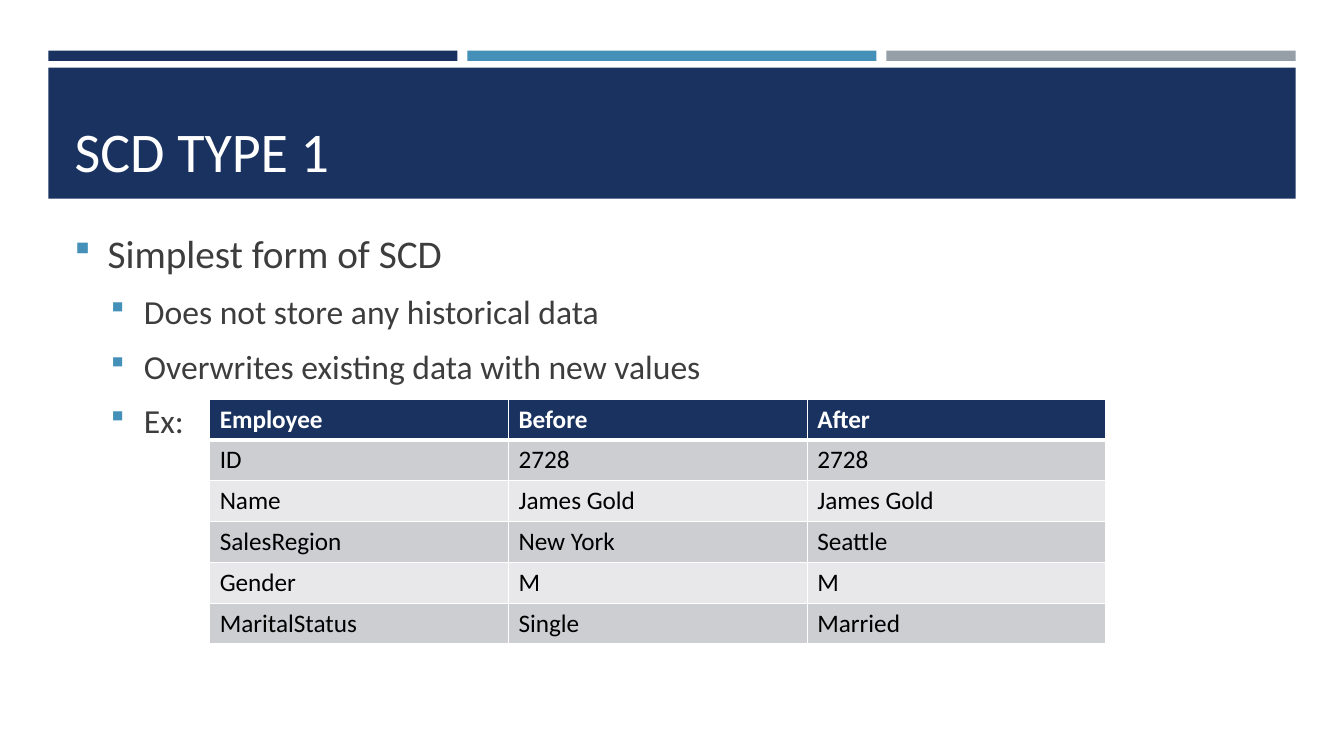
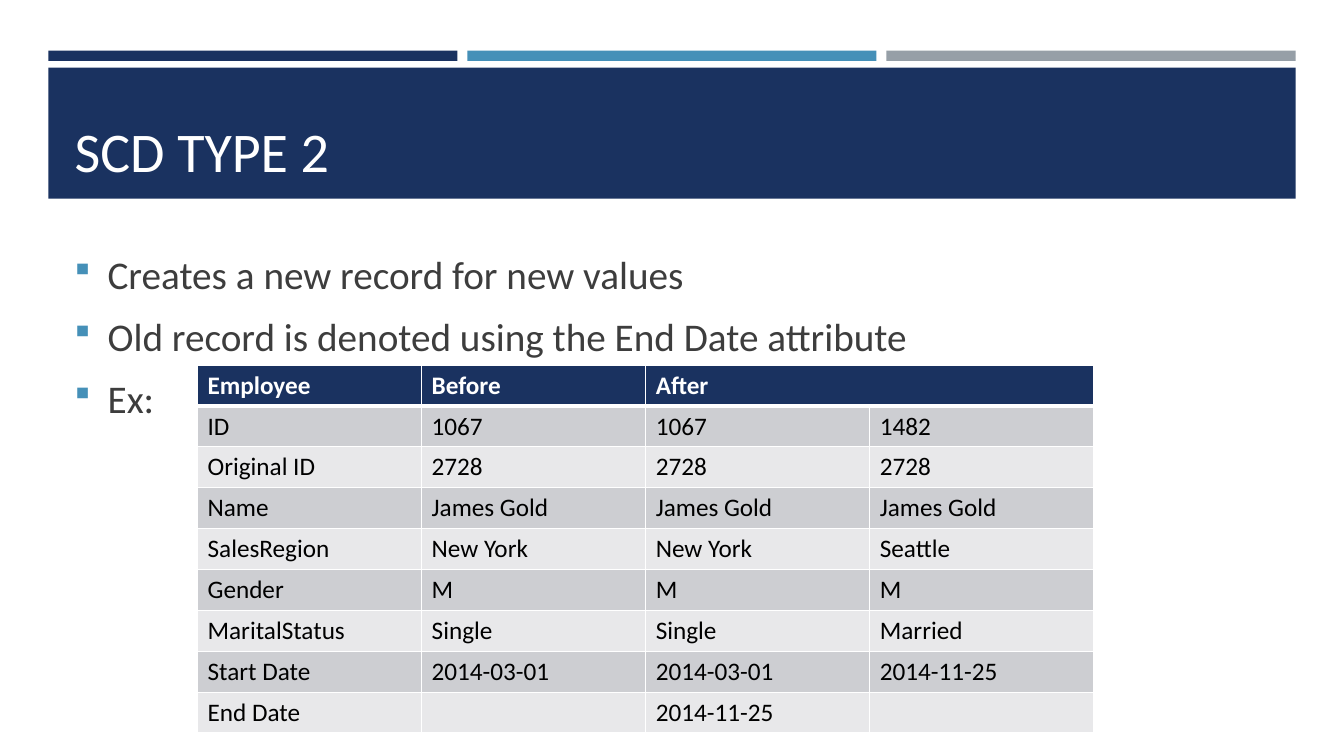
from dataclasses import dataclass

from lxml.etree import SubElement
from pptx import Presentation
from pptx.dml.color import RGBColor as RGB
from pptx.enum.shapes import MSO_SHAPE as Shape
from pptx.enum.text import MSO_ANCHOR as Anchor, MSO_AUTO_SIZE as Fit, PP_ALIGN as Align
from pptx.oxml.ns import qn
from pptx.util import Inches, Pt

FONT = "Calibri"
COLORS = {
    "navy": "1A3260",
    "blue": "4590B8",
    "gray": "969FA7",
    "text": "3D3D3D",
    "dark": "CDCED2",
    "light": "E8E8EA",
    "white": "FFFFFF",
    "black": "000000",
}
SIZES = [28, 24]
BEFORE = [4.8, 4.2]
INDENTS = [0.33, 0.69]
HANG = 0.33


@dataclass
class Box:
    x: float
    y: float
    w: float
    h: float

    def inner(self, x, y, w, h):
        """Return a box inside this one, given in percent of it."""
        return Box(self.x + self.w * x / 100, self.y + self.h * y / 100,
                   self.w * w / 100, self.h * h / 100)

    def emu(self):
        return [Inches(n) for n in (self.x, self.y, self.w, self.h)]


PAGE = Box(0, 0, 13.33, 7.5)
HEAD = PAGE.inner(3.6, 6.7, 92.8, 19.6)


def color(name):
    return RGB.from_string(COLORS[name])


def style(para, size, name, bold=False):
    font = para.font
    font.name, font.size, font.bold = FONT, Pt(size), bold
    font.color.rgb = color(name)


def band(slide, box, name):
    shape = slide.shapes.add_shape(Shape.RECTANGLE, *box.emu())
    shape.shadow.inherit = False
    shape.fill.solid()
    shape.fill.fore_color.rgb = color(name)
    shape.line.fill.background()


def header(slide, box, text):
    """Draw three strips above a bar and set the title on the bar."""
    gap = 0.8
    wide = (100 - 2 * gap) / 3
    for i, name in enumerate(("navy", "blue", "gray")):
        band(slide, box.inner(i * (wide + gap), 0, wide, 7), name)
    bar = box.inner(0, 11.5, 100, 88.5)
    band(slide, bar, "navy")

    title = slide.shapes.title
    title.element.getparent().append(title.element)
    title.left, title.top, title.width, title.height = bar.inner(1.3, 7.7, 97.5, 85).emu()
    frame = title.text_frame
    frame.text = text
    frame.word_wrap = True
    frame.auto_size = Fit.NONE
    frame.vertical_anchor = Anchor.BOTTOM
    para = frame.paragraphs[0]
    para.alignment = Align.LEFT
    style(para, 40, "white")


def bullet(para, level):
    props = para._p.get_or_add_pPr()
    props.set("marL", str(Inches(INDENTS[level])))
    props.set("indent", str(-Inches(HANG)))
    tint = SubElement(props, qn("a:buClr"))
    SubElement(tint, qn("a:srgbClr"), val=COLORS["blue"])
    SubElement(props, qn("a:buSzPct"), val="92000")
    SubElement(props, qn("a:buFont"), typeface="Wingdings")
    SubElement(props, qn("a:buChar"), char="§")


def body(slide, box, items):
    frame = slide.shapes.add_textbox(*box.emu()).text_frame
    frame.word_wrap = True
    for i, (level, text) in enumerate(items):
        para = frame.add_paragraph() if i else frame.paragraphs[0]
        para.text = text
        para.level = level
        bullet(para, level)
        para.space_before = Pt(BEFORE[level] if i else 0)
        para.space_after = Pt(6)
        style(para, SIZES[level], "text")


def border(cell, row):
    """Rule the cell in white, thicker under the header row."""
    props = cell._tc.get_or_add_tcPr()
    for side in "LRTB":
        thick = (row, side) in ((0, "B"), (1, "T"))
        line = SubElement(props, qn(f"a:ln{side}"), w=str(Pt(3 if thick else 1)))
        fill = SubElement(line, qn("a:solidFill"))
        SubElement(fill, qn("a:srgbClr"), val=COLORS["white"])


def grid(slide, box, rows):
    """Fill a table; None joins a cell to the one on its left."""
    table = slide.shapes.add_table(len(rows), len(rows[0]), *box.emu()).table
    for r, row in enumerate(rows):
        back = ("dark" if r % 2 else "light") if r else "navy"
        for c, text in enumerate(row):
            cell = table.cell(r, c)
            border(cell, r)
            cell.fill.solid()
            cell.fill.fore_color.rgb = color(back)
            if text is None:
                table.cell(r, c - 1).merge(cell)
                continue
            cell.text = text
            style(cell.text_frame.paragraphs[0], 18, "black" if r else "white", r == 0)


def build(deck, title, top, items, spot, rows):
    slide = deck.slides.add_slide(deck.slide_layouts.get_by_name("Title Only"))
    header(slide, HEAD, title)
    body(slide, PAGE.inner(4.8, top, 90.5, 30), items)
    grid(slide, PAGE.inner(*spot), rows)


def main():
    deck = Presentation()
    deck.slide_width, deck.slide_height = Inches(PAGE.w), Inches(PAGE.h)
    build(
        deck, "SCD TYPE 1", 29.7,
        [
            (0, "Simplest form of SCD"),
            (1, "Does not store any historical data"),
            (1, "Overwrites existing data with new values"),
            (1, "Ex:"),
        ],
        (15.6, 52.8, 66.7, 32.4),
        [
            ("Employee", "Before", "After"),
            ("ID", "2728", "2728"),
            ("Name", "James Gold", "James Gold"),
            ("SalesRegion", "New York", "Seattle"),
            ("Gender", "M", "M"),
            ("MaritalStatus", "Single", "Married"),
        ],
    )
    build(
        deck, "SCD TYPE 2", 32.4,
        [
            (0, "Creates a new record for new values"),
            (0, "Old record is denoted using the End Date attribute"),
            (0, "Ex:"),
        ],
        (14.7, 48.3, 66.7, 48.7),
        [
            ("Employee", "Before", "After", None),
            ("ID", "1067", "1067", "1482"),
            ("Original ID", "2728", "2728", "2728"),
            ("Name", "James Gold", "James Gold", "James Gold"),
            ("SalesRegion", "New York", "New York", "Seattle"),
            ("Gender", "M", "M", "M"),
            ("MaritalStatus", "Single", "Single", "Married"),
            ("Start Date", "2014-03-01", "2014-03-01", "2014-11-25"),
            ("End Date", "", "2014-11-25", ""),
        ],
    )
    deck.save("out.pptx")


if __name__ == "__main__":
    main()
